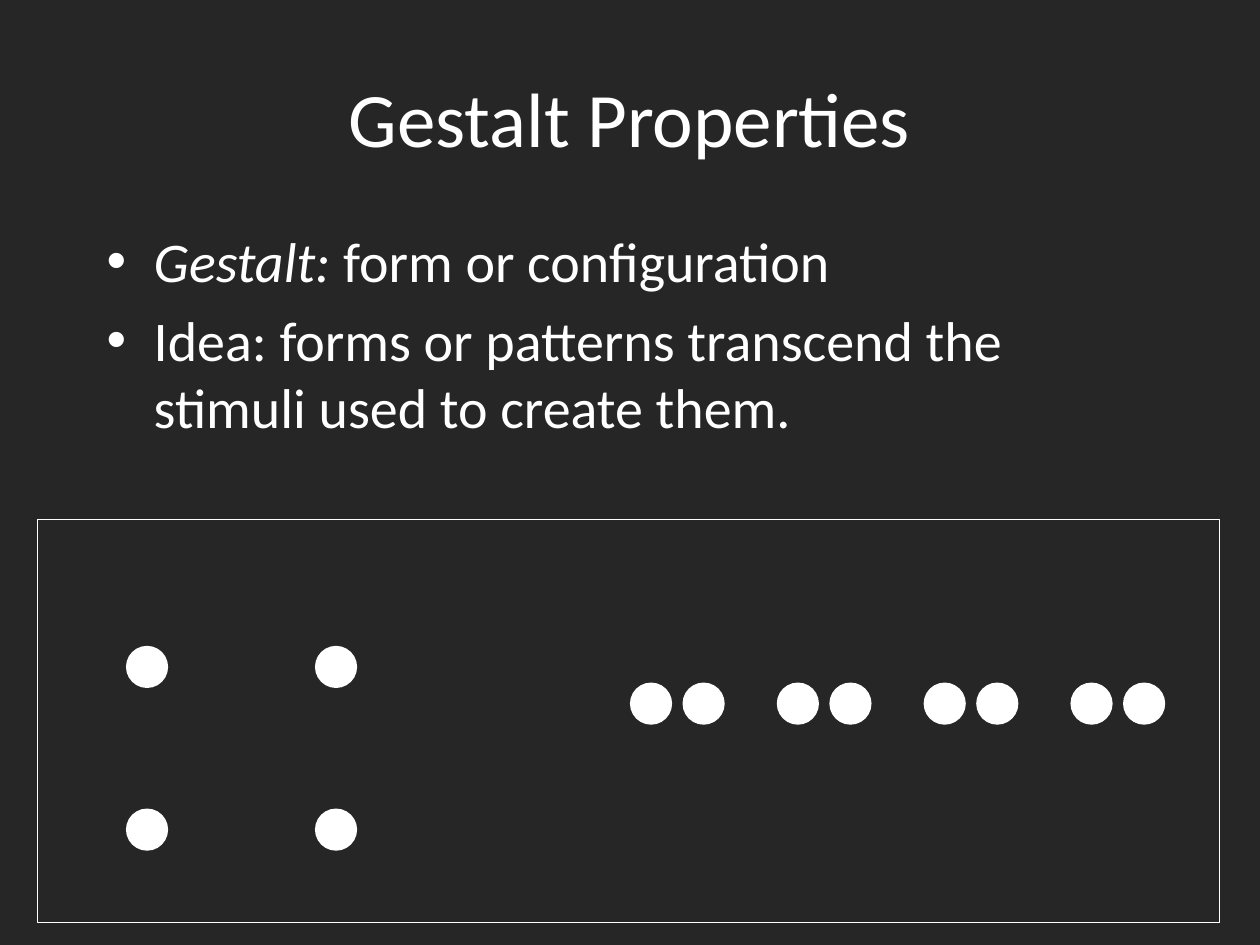
from lxml import etree
from pptx import Presentation
from pptx.dml.color import RGBColor
from pptx.enum.shapes import MSO_SHAPE
from pptx.enum.text import MSO_ANCHOR, PP_ALIGN
from pptx.oxml.ns import qn
from pptx.util import Cm, Pt

RECTANGLE, OVAL = MSO_SHAPE.RECTANGLE, MSO_SHAPE.OVAL
TOP, MIDDLE = MSO_ANCHOR.TOP, MSO_ANCHOR.MIDDLE
LEFT, CENTER = PP_ALIGN.LEFT, PP_ALIGN.CENTER
COLORS = {"background": "262626", "foreground": "FFFFFF"}
FOREGROUND = RGBColor.from_string(COLORS["foreground"])

presentation = Presentation()
presentation.slide_width, presentation.slide_height = Cm(25.4), Cm(19.05)
slide = presentation.slides.add_slide(presentation.slide_layouts[6])
slide.background.fill.solid()
slide.background.fill.fore_color.rgb = RGBColor.from_string(COLORS["background"])


def add_text(paragraphs, left, top, width, height, size,
             align=LEFT, anchor=TOP, bullet=None, space_before=0):
    """Add a text box; each paragraph is a list of (text, italic) runs."""
    box = slide.shapes.add_textbox(Cm(left), Cm(top), Cm(width), Cm(height))
    frame = box.text_frame
    frame.word_wrap = True
    frame.vertical_anchor = anchor
    for index, runs in enumerate(paragraphs):
        paragraph = frame.add_paragraph() if index else frame.paragraphs[0]
        paragraph.alignment = align
        if index:
            paragraph.space_before = Pt(space_before)
        if bullet:
            properties = paragraph._p.get_or_add_pPr()
            properties.set("marL", str(Cm(0.95)))
            properties.set("indent", str(Cm(-0.95)))
            etree.SubElement(properties, qn("a:buFont")).set("typeface", "Arial")
            etree.SubElement(properties, qn("a:buChar")).set("char", bullet)
        for text, italic in runs:
            run = paragraph.add_run()
            run.text = text
            run.font.name = "Calibri"
            run.font.size = Pt(size)
            run.font.italic = italic
            run.font.color.rgb = FOREGROUND


frame_shape = slide.shapes.add_shape(RECTANGLE, Cm(0.76), Cm(10.47), Cm(23.83), Cm(8.13))
frame_shape.shadow.inherit = False
frame_shape.fill.background()
frame_shape.line.color.rgb = FOREGROUND
frame_shape.line.width = Pt(0.75)

add_text([[("Gestalt Properties", False)]], 1.27, 0.76, 22.86, 3.18, 44,
         align=CENTER, anchor=MIDDLE)
add_text([[("Gestalt:", True), (" form or configuration", False)],
          [("Idea: forms or patterns transcend the stimuli used to create them.", False)]],
         1.9, 4.45, 21.59, 7.82, 32, bullet="•", space_before=6.4)

DOT_SIZE = 0.85
square_dots = [(left, top) for top in (13.02, 16.3) for left in (2.54, 6.35)]
PAIR_LEFT, PAIR_TOP, PAIR_PITCH, DOT_PITCH = 12.7, 13.76, 2.96, 1.06
paired_dots = [(PAIR_LEFT + pair * PAIR_PITCH + dot * DOT_PITCH, PAIR_TOP)
               for pair in range(4) for dot in range(2)]
for left, top in square_dots + paired_dots:
    dot_shape = slide.shapes.add_shape(OVAL, Cm(left), Cm(top), Cm(DOT_SIZE), Cm(DOT_SIZE))
    dot_shape.shadow.inherit = False
    dot_shape.fill.solid()
    dot_shape.fill.fore_color.rgb = FOREGROUND
    dot_shape.line.fill.background()

presentation.save("out.pptx")
